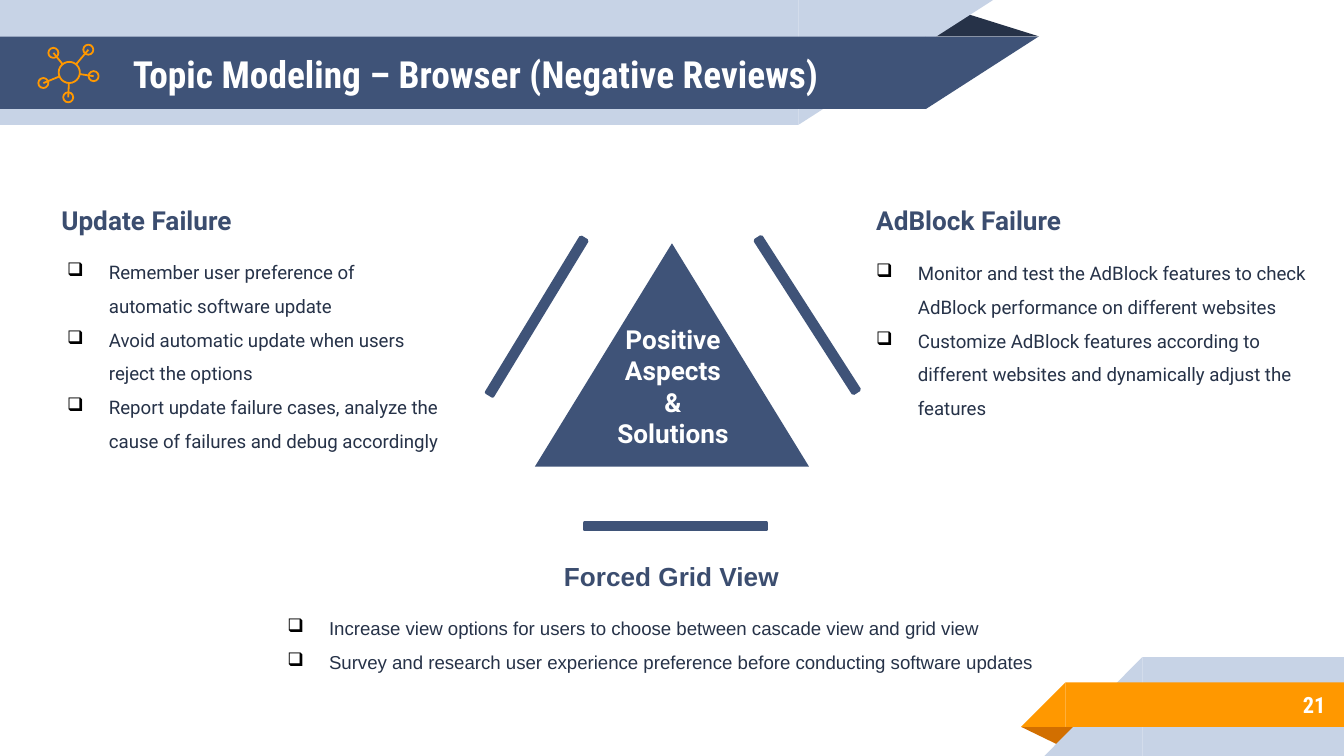
from math import hypot

from lxml import etree
from pptx import Presentation
from pptx import util as u
from pptx.dml.color import RGBColor
from pptx.enum import shapes, text
from pptx.oxml.ns import qn

NAVY, PALE, INK, ORANGE, RUST = "3F5378", "C7D3E6", "263248", "FF9800", "D26F00"
HEADING, WHITE, BLACK = "3B4D6F", "FFFFFF", "000000"
PRESET = shapes.MSO_SHAPE
ALIGN = text.PP_ALIGN


def color(hex_code):
    return RGBColor.from_string(hex_code)


class Deck:
    indent = u.Cm(0.79)

    def __init__(self, width, height):
        self.prs = Presentation()
        self.prs.slide_width, self.prs.slide_height = u.Cm(width), u.Cm(height)
        self.slide = self.prs.slides.add_slide(self.prs.slide_layouts[6])

    def shape(self, preset, box, fill=None, line=None, weight=1, turn=0, flip=False, apex=None):
        item = self.slide.shapes.add_shape(preset, *map(u.Cm, box))
        item.shadow.inherit = False
        item.rotation = turn
        if apex is not None:
            item.adjustments[0] = apex
        if flip:
            item._element.spPr.find(qn("a:xfrm")).set("flipH", "1")
        if fill:
            item.fill.solid()
            item.fill.fore_color.rgb = color(fill)
        else:
            item.fill.background()
        if line:
            item.line.color.rgb = color(line)
            item.line.width = u.Pt(weight)
        else:
            item.line.fill.background()
        return item

    def ribbon(self, body, tip, fill, turn=0):
        self.shape(PRESET.RECTANGLE, body, fill, turn=turn, flip=True)
        self.shape(PRESET.RIGHT_TRIANGLE, tip, fill, turn=turn, flip=True)

    def link(self, start, end, line, weight):
        item = self.slide.shapes.add_connector(
            shapes.MSO_CONNECTOR.STRAIGHT, *map(u.Cm, (*start, *end)))
        item.line.color.rgb = color(line)
        item.line.width = u.Pt(weight)
        etree.SubElement(item._element.spPr, qn("a:effectLst"))

    def label(self, box, lines, font, size, ink, bold=True, align=ALIGN.LEFT,
              middle=False, bullets=False):
        frame = self.slide.shapes.add_textbox(*map(u.Cm, box)).text_frame
        frame.word_wrap = True
        frame.text = "\n".join(lines)
        if middle:
            frame.vertical_anchor = text.MSO_ANCHOR.MIDDLE
            frame.margin_top = frame.margin_bottom = u.Cm(0.25)
        else:
            frame.auto_size = text.MSO_AUTO_SIZE.SHAPE_TO_FIT_TEXT
        for paragraph in frame.paragraphs:
            paragraph.alignment = align
            if bullets:
                self.bullet(paragraph)
            for run in paragraph.runs:
                run.font.name, run.font.size, run.font.bold = font, u.Pt(size), bold
                run.font.color.rgb = color(ink)

    def bullet(self, paragraph):
        props = paragraph._p.get_or_add_pPr()
        props.set("marL", str(self.indent))
        props.set("indent", str(-self.indent))
        tint = etree.SubElement(props, qn("a:buClr"))
        etree.SubElement(tint, qn("a:srgbClr")).set("val", BLACK)
        etree.SubElement(props, qn("a:buChar")).set("char", "❑")
        paragraph.line_spacing = 1.5

    def topic(self, heading, heading_box, actions, actions_box, font, align=ALIGN.LEFT):
        self.label(heading_box, [heading], font, 14, HEADING, align=align)
        self.label(actions_box, actions, font, 10, INK, bold=False, bullets=True)

    def ring(self, center, size):
        self.shape(PRESET.OVAL, (center[0] - size / 2, center[1] - size / 2, size, size),
                   line=ORANGE, weight=0.96)

    def network(self, hub, hub_size, nodes, node_size):
        self.ring(hub, hub_size)
        for node in nodes:
            self.ring(node, node_size)
            dx, dy = node[0] - hub[0], node[1] - hub[1]
            reach = hub_size / 2 / hypot(dx, dy)
            self.link(node, (hub[0] + dx * reach, hub[1] + dy * reach), ORANGE, 0.96)


def main():
    deck = Deck(25.4, 14.29)

    deck.shape(PRESET.ISOSCELES_TRIANGLE, (17.48, 0.23, 2.16, 0.46), INK, apex=0.32)
    deck.ribbon((0, 0, 15.09, 2.36), (15.09, 0, 3.68, 2.36), PALE, turn=180)
    deck.ribbon((0, 0.69, 17.5, 1.37), (17.5, 0.69, 2.13, 1.37), NAVY, turn=180)
    deck.shape(PRESET.ISOSCELES_TRIANGLE, (19.3, 13.74, 1.09, 0.36), RUST, turn=180, apex=0.32)
    deck.ribbon((21.59, 12.42, 3.81, 1.87), (19.74, 12.42, 1.85, 1.87), PALE)
    deck.ribbon((20.14, 12.9, 5.26, 0.84), (19.3, 12.9, 0.84, 0.84), ORANGE)

    deck.label((2.26, 0.69, 14.6, 1.42), ["Topic Modeling – Browser (Negative Reviews)"],
               "Roboto Condensed", 20, WHITE, middle=True)
    deck.label((21.16, 12.88, 4.14, 0.89), ["21"], "Roboto Condensed", 12, WHITE,
               align=ALIGN.RIGHT, middle=True)
    deck.network((1.31, 1.37), 0.4,
                 [(1.67, 0.94), (1.01, 1.0), (0.82, 1.57), (1.29, 1.84), (1.77, 1.44)], 0.19)

    deck.topic("AdBlock Failure", (16.31, 3.73, 7.16, 0.89), [
        "Monitor and test the AdBlock features to check AdBlock performance on different websites",
        "Customize AdBlock features according to different websites and dynamically adjust"
        " the features",
    ], (16.31, 4.62, 9.09, 3.4), "Roboto")
    deck.topic("Update Failure", (0.91, 3.73, 7.7, 0.86), [
        "Remember user preference of automatic software update",
        "Avoid automatic update when users reject the options",
        "Report update failure cases, analyze the cause of failures and debug accordingly",
    ], (1.02, 4.6, 7.59, 4.04), "Roboto")
    deck.topic("Forced Grid View", (6.1, 10.46, 13.18, 0.86), [
        "Increase view options for users to choose between cascade view and grid view",
        "Survey and research user experience preference before conducting software updates",
    ], (5.18, 11.33, 15.04, 1.45), "Arial", ALIGN.CENTER)

    deck.shape(PRESET.ISOSCELES_TRIANGLE, (10.11, 4.6, 5.18, 4.22), NAVY)
    deck.label((11.02, 5.99, 3.4, 2.64), ["Positive", "Aspects", "&", "Solutions"],
               "Roboto", 14, WHITE, align=ALIGN.CENTER)
    for left, top, turn in [(10.08, 4.27, 31.3), (15.19, 4.24, 147.3), (12.7, 8.23, 90)]:
        deck.shape(PRESET.RECTANGLE, (left, top, 0.13, 3.43), NAVY, NAVY, 2, turn)

    deck.prs.save("out.pptx")


if __name__ == "__main__":
    main()
